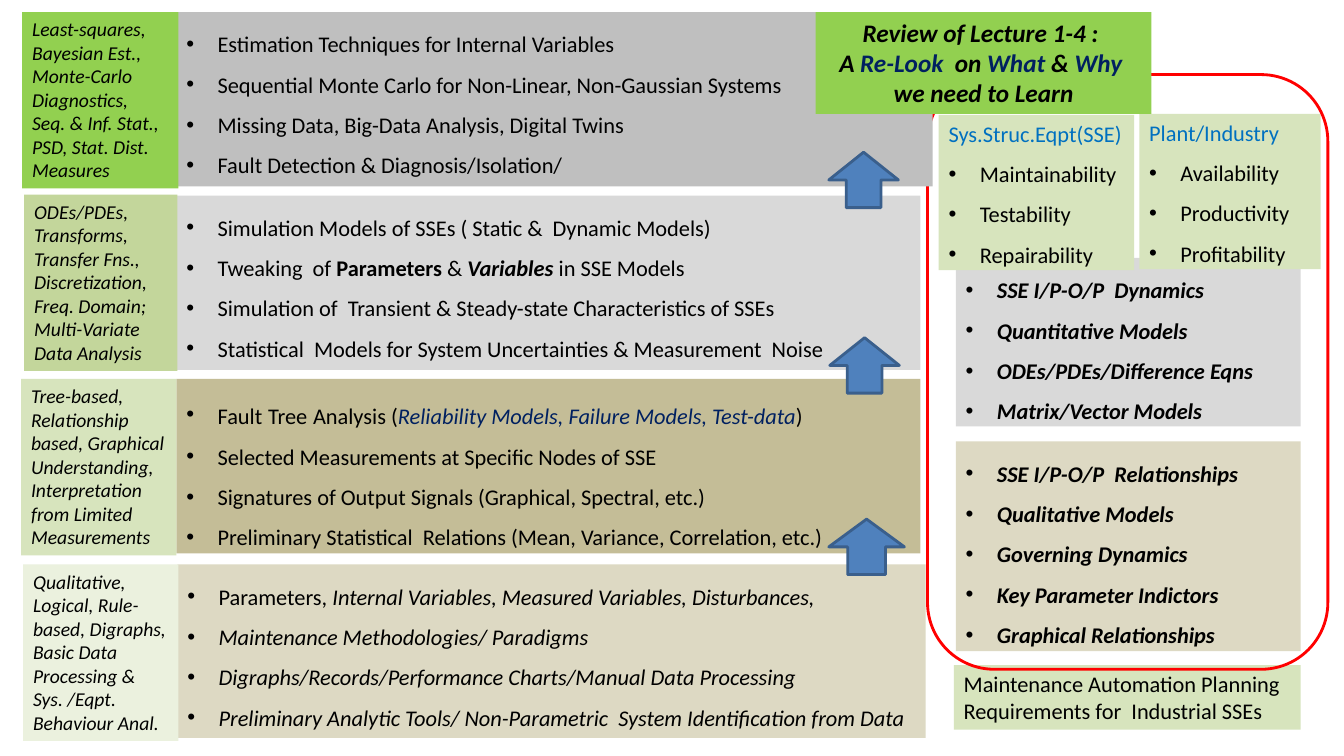
"""Build the lecture review slide: four modelling levels beside the industrial requirements."""

import dataclasses
import typing

import lxml.etree
import pptx
import pptx.dml.color
import pptx.enum.shapes
import pptx.enum.text
import pptx.oxml.ns
import pptx.util

PX = 9144
INDENT = 31
FONT = "Calibri"
TITLE_ONLY = 5
COLORS = {
    "black": "000000", "navy": "002060", "blue": "0070C0", "red": "FF0000",
    "arrow": "4F81BD", "arrow_edge": "3A5F8C",
    "green": "92D050", "olive": "C3D69B", "pale_olive": "D7E4BD", "mist": "EBF1DE",
    "gray": "BFBFBF", "light_gray": "D9D9D9", "tan": "C4BD97", "light_tan": "DDD9C3",
}


@dataclasses.dataclass(frozen=True)
class Run:
    text: str
    color: str | None = None
    size: int | None = None
    bold: bool | None = None
    italic: bool | None = None


Line = str | list[Run]


@dataclasses.dataclass(frozen=True)
class Box:
    left: int
    top: int
    width: int
    height: int
    fill: str
    lines: list[Line]
    heading: str = ""
    size: int = 16
    bold: bool = False
    italic: bool = False
    bullet: bool = True
    centered: bool = False
    grows: bool = True


REQUIREMENTS = [
    Box(948, 256, 342, 167, "light_gray", [
        "SSE I/P-O/P  Dynamics", "Quantitative Models",
        "ODEs/PDEs/Difference Eqns", "Matrix/Vector Models",
    ], bold=True, italic=True),
    Box(931, 114, 194, 154, "pale_olive", ["Maintainability", "Testability", "Repairability"],
        heading="Sys.Struc.Eqpt(SSE)"),
    Box(946, 660, 344, 64, "pale_olive",
        ["Maintenance Automation Planning Requirements for  Industrial SSEs"], bullet=False),
    Box(1130, 113, 180, 154, "pale_olive", ["Availability", "Productivity", "Profitability"],
        heading="Plant/Industry"),
]

LEVELS = [
    Box(176, 560, 742, 172, "light_tan", [
        [Run("Parameters, ", italic=False),
         Run("Internal Variables, Measured Variables, Disturbances,")],
        "Maintenance Methodologies/ Paradigms",
        "Digraphs/Records/Performance Charts/Manual Data Processing",
        "Preliminary Analytic Tools/ Non-Parametric  System Identification from Data",
    ], italic=True),
    Box(175, 376, 738, 173, "tan", [
        [Run("Fault"), Run(" ", size=18), Run("Tree"), Run(" ", size=18), Run("Analysis ("),
         Run("Reliability Models, Failure Models, Test-data", color="navy", italic=True),
         Run(")")],
        "Selected Measurements at Specific Nodes of SSE",
        "Signatures of Output Signals (Graphical, Spectral, etc.)",
        "Preliminary Statistical  Relations (Mean, Variance, Correlation, etc.)",
    ]),
    Box(175, 194, 738, 173, "light_gray", [
        "Simulation Models of SSEs ( Static &  Dynamic Models)",
        [Run("Tweaking  of "), Run("Parameters", bold=True), Run(" & "),
         Run("Variables", bold=True, italic=True), Run(" in SSE Models")],
        "Simulation of  Transient & Steady-state Characteristics of SSEs",
        "Statistical  Models for System Uncertainties & Measurement  Noise",
    ]),
    Box(175, 12, 750, 173, "gray", [
        "Estimation Techniques for Internal Variables",
        "Sequential Monte Carlo for Non-Linear, Non-Gaussian Systems",
        "Missing Data, Big-Data Analysis, Digital Twins",
        "Fault Detection & Diagnosis/Isolation/",
    ]),
]

METHODS = [
    Box(23, 560, 154, 175, "mist", [
        "Qualitative, Logical, Rule-based, Digraphs, Basic Data Processing & "
        "Sys. /Eqpt. Behaviour Anal.",
    ], size=14, italic=True, bullet=False),
    Box(21, 376, 154, 175, "pale_olive", [
        "Tree-based, Relationship based, Graphical Understanding, Interpretation "
        "from Limited Measurements",
    ], size=14, italic=True, bullet=False),
    Box(24, 193, 152, 175, "olive", [
        "ODEs/PDEs, Transforms,", "Transfer Fns., Discretization, Freq. Domain;",
        "Multi-Variate Data Analysis",
    ], size=14, italic=True, bullet=False),
    Box(22, 12, 155, 175, "green", [
        "Least-squares, Bayesian Est., Monte-Carlo Diagnostics,", "Seq. & Inf. Stat.,",
        "PSD, Stat. Dist.  Measures",
    ], size=14, italic=True, bullet=False),
]

TITLE = Box(809, 12, 333, 101, "green", [
    "Review of Lecture 1-4 : ",
    [Run("A "), Run("Re-Look", color="navy"), Run("  on "), Run("What", color="navy"),
     Run(" & "), Run("Why ", color="navy")],
    "we need to Learn",
], size=18, bold=True, italic=True, bullet=False, centered=True, grows=False)

RELATIONSHIPS = Box(948, 438, 342, 208, "light_tan", [
    "SSE I/P-O/P  Relationships", "Qualitative Models", "Governing Dynamics",
    "Key Parameter Indictors", "Graphical Relationships",
], bold=True, italic=True)

FRAME = (920, 74, 397, 590)
ARROWS = [(832, 505, 55, 75), (830, 328, 55, 69), (829, 144, 55, 69)]


def px(length: int) -> pptx.util.Emu:
    """Turn whole pixels into EMU."""
    return pptx.util.Emu(length * PX)


def rgb(name: str) -> pptx.dml.color.RGBColor:
    """Look up a named colour."""
    return pptx.dml.color.RGBColor.from_string(COLORS[name])


def write_paragraph(paragraph: typing.Any, text: Line, *, size: int, color: str = "black",
                    bold: bool = False, italic: bool = False, bullet: bool = False,
                    centered: bool = False) -> None:
    """Fill a paragraph with formatted runs, with a bullet if asked."""
    if bullet:
        properties = paragraph._p.get_or_add_pPr()
        properties.set("marL", str(px(INDENT)))
        properties.set("indent", str(-px(INDENT)))
        for tag, attribute, value in (("buFont", "typeface", "Arial"), ("buChar", "char", "•")):
            lxml.etree.SubElement(properties, pptx.oxml.ns.qn(f"a:{tag}")).set(attribute, value)
        paragraph.line_spacing = 1.5
    alignment = pptx.enum.text.PP_ALIGN
    paragraph.alignment = alignment.CENTER if centered else alignment.LEFT
    for part in [Run(text)] if isinstance(text, str) else text:
        run = paragraph.add_run()
        run.text = part.text
        run.font.name = FONT
        run.font.size = pptx.util.Pt(part.size or size)
        run.font.color.rgb = rgb(part.color or color)
        run.font.bold = bold if part.bold is None else part.bold
        run.font.italic = italic if part.italic is None else part.italic


def fill_box(shape: typing.Any, box: Box) -> None:
    """Colour a shape and write the lines of its box."""
    shape.fill.solid()
    shape.fill.fore_color.rgb = rgb(box.fill)
    frame = shape.text_frame
    frame.word_wrap = True
    sizing = pptx.enum.text.MSO_AUTO_SIZE
    frame.auto_size = sizing.SHAPE_TO_FIT_TEXT if box.grows else sizing.NONE
    frame.vertical_anchor = pptx.enum.text.MSO_ANCHOR.TOP
    lines = [box.heading, *box.lines] if box.heading else box.lines
    for index, line in enumerate(lines):
        is_heading = bool(box.heading) and index == 0
        write_paragraph(frame.add_paragraph() if index else frame.paragraphs[0], line,
                        size=box.size, color="blue" if is_heading else "black",
                        bold=box.bold, italic=box.italic,
                        bullet=box.bullet and not is_heading, centered=box.centered)


def add_box(slide: typing.Any, box: Box) -> None:
    """Add a filled text box."""
    fill_box(slide.shapes.add_textbox(*map(px, (box.left, box.top, box.width, box.height))), box)


def add_outlined(slide: typing.Any, kind: typing.Any, place: tuple[int, int, int, int],
                 line: str, fill: str | None = None, rotation: int = 0) -> None:
    """Add a preset shape with a two-point outline."""
    shape = slide.shapes.add_shape(kind, *map(px, place))
    shape.shadow.inherit = False
    shape.rotation = rotation
    shape.line.color.rgb = rgb(line)
    shape.line.width = pptx.util.Pt(2)
    if fill:
        shape.fill.solid()
        shape.fill.fore_color.rgb = rgb(fill)
    else:
        shape.fill.background()


def place_title(slide: typing.Any, box: Box) -> None:
    """Move the title placeholder to the front and format it."""
    title = slide.shapes.title
    slide.shapes._spTree.append(title._element)
    title.left, title.top = px(box.left), px(box.top)
    title.width, title.height = px(box.width), px(box.height)
    fill_box(title, box)


def main() -> None:
    """Build and save the presentation."""
    presentation = pptx.Presentation()
    presentation.slide_width, presentation.slide_height = px(1333), px(750)
    slide = presentation.slides.add_slide(presentation.slide_layouts[TITLE_ONLY])
    shapes = pptx.enum.shapes.MSO_SHAPE
    for box in REQUIREMENTS:
        add_box(slide, box)
    add_outlined(slide, shapes.ROUNDED_RECTANGLE, FRAME, "red")
    for box in LEVELS + METHODS:
        add_box(slide, box)
    for place in ARROWS:
        add_outlined(slide, shapes.RIGHT_ARROW, place, "arrow_edge", "arrow", rotation=270)
    place_title(slide, TITLE)
    add_box(slide, RELATIONSHIPS)
    presentation.save("out.pptx")


if __name__ == "__main__":
    main()
